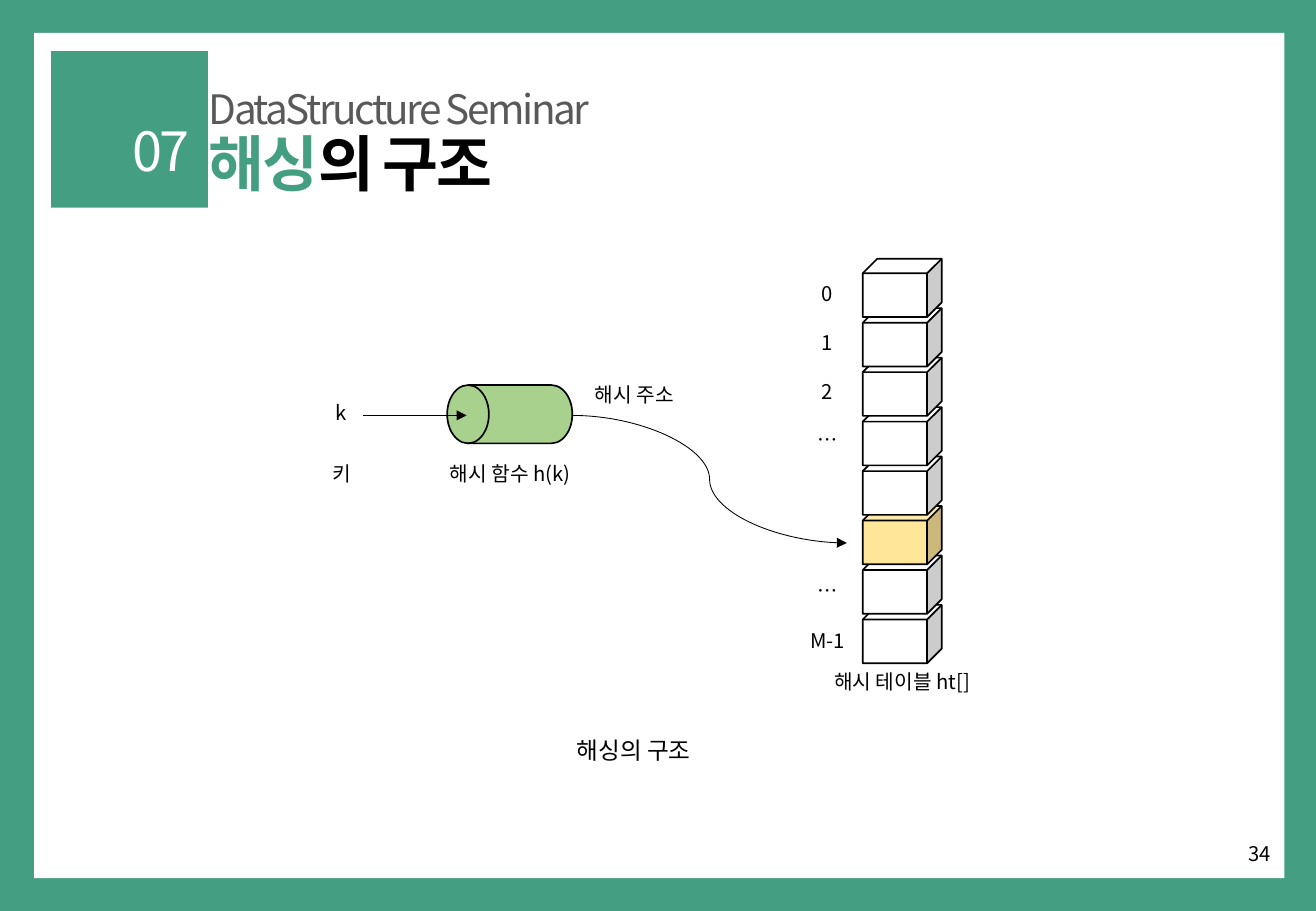
"""Build the slide that explains the structure of hashing."""
from dataclasses import dataclass

from lxml import etree
from pptx import Presentation
from pptx.dml.color import RGBColor
from pptx.enum.shapes import MSO_CONNECTOR, MSO_SHAPE
from pptx.enum.text import MSO_ANCHOR, PP_ALIGN
from pptx.oxml.ns import qn
from pptx.util import Inches, Pt

RECTANGLE, CUBE = MSO_SHAPE.RECTANGLE, MSO_SHAPE.CUBE
DRUM = MSO_SHAPE.FLOWCHART_DIRECT_ACCESS_STORAGE
STRAIGHT, CURVE = MSO_CONNECTOR.STRAIGHT, MSO_CONNECTOR.CURVE
LEFT, CENTER, RIGHT = PP_ALIGN.LEFT, PP_ALIGN.CENTER, PP_ALIGN.RIGHT
TOP, MIDDLE = MSO_ANCHOR.TOP, MSO_ANCHOR.MIDDLE

GREEN = RGBColor(0x44, 0x9E, 0x82)
WHITE = RGBColor(0xFF, 0xFF, 0xFF)
BLACK = RGBColor(0x00, 0x00, 0x00)
GRAY = RGBColor(0x59, 0x59, 0x59)
DRUM_GREEN = RGBColor(0xA9, 0xD1, 0x8E)
HIT_YELLOW = RGBColor(0xFF, 0xE6, 0x99)
FONT = "Noto Sans CJK KR"

BUCKET_COUNT, HIT_BUCKET = 8, 5
FIRST_BUCKET_TOP, LAST_BUCKET_TOP = 2.13, 4.98
BUCKET_PITCH = (LAST_BUCKET_TOP - FIRST_BUCKET_TOP) / (BUCKET_COUNT - 1)


@dataclass(frozen=True)
class Box:
    """Position and size in inches."""
    left: float
    top: float
    width: float
    height: float = 0.3

    def lengths(self) -> tuple:
        """Return the four lengths in slide units."""
        return tuple(Inches(v) for v in (self.left, self.top, self.width, self.height))


@dataclass(frozen=True)
class Caption:
    """A centred caption of the diagram."""
    text: str
    box: Box
    size: int = 12


@dataclass(frozen=True)
class IndexRun:
    """Evenly spaced bucket indexes."""
    top: float
    pitch: float
    texts: tuple


@dataclass(frozen=True)
class Arrow:
    """An arrow between two points in inches."""
    route: MSO_CONNECTOR
    start: tuple
    end: tuple


CAPTIONS = (
    Caption("해시 함수 h(k)", Box(3.43, 3.75, 1.54)),
    Caption("k", Box(2.42, 3.25, 0.78)),
    Caption("키", Box(2.09, 3.75, 1.45)),
    Caption("해시 주소", Box(4.45, 3.1, 1.54)),
    Caption("해시 테이블 ht[]", Box(6.41, 5.46, 2.03)),
    Caption("해싱의 구조", Box(4.2, 6.01, 2.03, 0.34), 14),
)
INDEX_RUNS = (
    IndexRun(2.27, 0.4, ("0", "1", "2", "…")),
    IndexRun(4.71, 0.41, ("…", "M-1")),
)
ARROWS = (
    Arrow(STRAIGHT, (2.99, 3.42), (3.84, 3.42)),
    Arrow(CURVE, (4.71, 3.42), (6.97, 4.47)),
)


def add_solid(slide, preset, box: Box, fill: RGBColor, outlined: bool = False):
    """Add a filled preset shape, with a black outline if asked."""
    solid = slide.shapes.add_shape(preset, *box.lengths())
    solid.shadow.inherit = False
    solid.fill.solid()
    solid.fill.fore_color.rgb = fill
    if outlined:
        solid.line.color.rgb = BLACK
        solid.line.width = Pt(1)
    else:
        solid.line.fill.background()
    return solid


def add_text(slide, box: Box, *parts: tuple, size: int = 12, align=CENTER,
             anchor=TOP, bold: bool = False, heading: bool = False) -> None:
    """Add one paragraph made of (text, colour) parts."""
    frame = slide.shapes.add_textbox(*box.lengths()).text_frame
    frame.word_wrap = True
    frame.vertical_anchor = anchor
    paragraph = frame.paragraphs[0]
    paragraph.alignment = align
    if heading:
        paragraph.line_spacing = 0.9
        paragraph.space_before = Pt(10)
    for text, color in parts:
        run = paragraph.add_run()
        run.text = text
        run.font.size = Pt(size)
        run.font.bold = bold
        run.font.name = FONT
        run.font.color.rgb = color
        properties = run.font._element
        etree.SubElement(properties, qn("a:ea"), typeface=FONT)
        if heading:
            properties.set("spc", "-150")


def add_arrow(slide, arrow: Arrow) -> None:
    """Add a thin black connector that ends in a triangle."""
    points = (Inches(v) for v in arrow.start + arrow.end)
    connector = slide.shapes.add_connector(arrow.route, *points)
    connector.line.color.rgb = BLACK
    connector.line.width = Pt(0.5)
    etree.SubElement(connector.line._get_or_add_ln(), qn("a:tailEnd"), type="triangle")
    etree.SubElement(connector._element.spPr, qn("a:effectLst"))


def add_frame(slide) -> None:
    """Draw the border, the headings and the page number."""
    add_solid(slide, RECTANGLE, Box(0, 0, 10.83, 7.5), GREEN)
    add_solid(slide, RECTANGLE, Box(0.28, 0.27, 10.29, 6.96), WHITE)
    add_solid(slide, RECTANGLE, Box(0.42, 0.42, 1.29, 1.29), GREEN)
    add_text(slide, Box(1.62, 1.07, 7.7, 0.6), ("해싱", GREEN), ("의 구조", BLACK),
             size=36, align=LEFT, anchor=MIDDLE, bold=True, heading=True)
    add_text(slide, Box(1.62, 0.76, 4.92, 0.31), ("DataStructure Seminar", GRAY),
             size=24, align=LEFT, anchor=MIDDLE, heading=True)
    add_text(slide, Box(0.59, 1.01, 1.07, 0.51), ("07", WHITE),
             size=32, align=RIGHT, anchor=MIDDLE, heading=True)
    add_text(slide, Box(8.12, 6.83, 2.44, 0.4), ("34", BLACK), align=RIGHT, anchor=MIDDLE)


def add_hash_table(slide) -> None:
    """Stack the buckets from the bottom up and number them."""
    for bucket in reversed(range(BUCKET_COUNT)):
        top = FIRST_BUCKET_TOP + bucket * BUCKET_PITCH
        fill = HIT_YELLOW if bucket == HIT_BUCKET else WHITE
        add_solid(slide, CUBE, Box(7.1, top, 0.65, 0.48), fill, outlined=True)
    for indexes in INDEX_RUNS:
        for step, text in enumerate(indexes.texts):
            add_text(slide, Box(6.52, indexes.top + step * indexes.pitch, 0.58), (text, BLACK))


def main() -> None:
    """Build and save the slide."""
    deck = Presentation()
    deck.slide_width, deck.slide_height = Inches(10.83), Inches(7.5)
    slide = deck.slides.add_slide(deck.slide_layouts[6])
    add_frame(slide)
    add_hash_table(slide)
    hash_function = add_solid(slide, DRUM, Box(3.68, 3.17, 1.03, 0.48), DRUM_GREEN, outlined=True)
    hash_function.rotation = 180
    for arrow in ARROWS:
        add_arrow(slide, arrow)
    for caption in CAPTIONS:
        add_text(slide, caption.box, (caption.text, BLACK), size=caption.size)
    deck.save("out.pptx")


main()
